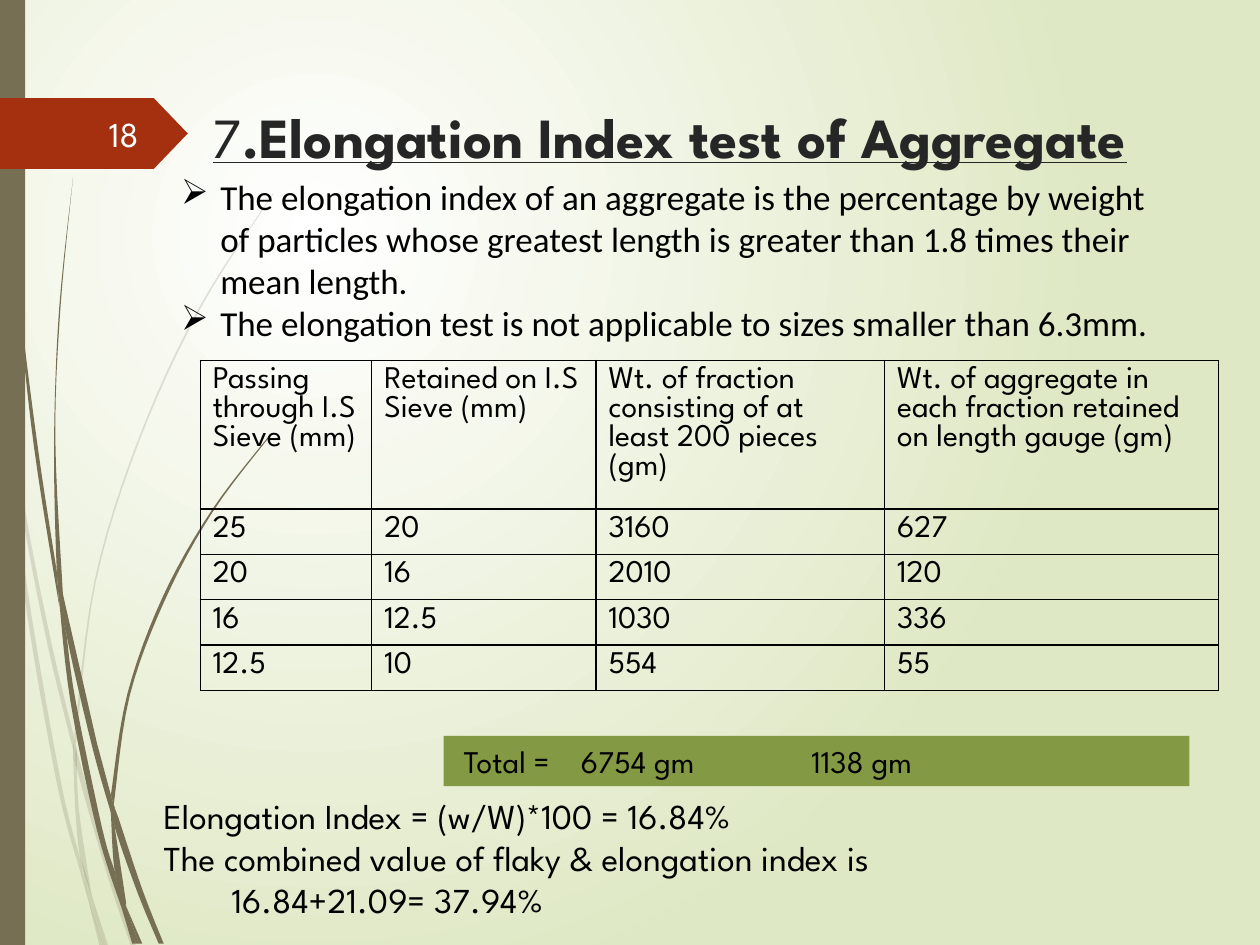
from dataclasses import dataclass

from lxml import etree
from pptx import Presentation
from pptx.dml.color import RGBColor
from pptx.enum import shapes as sh, text as tx
from pptx.oxml.ns import qn
from pptx.util import Inches, Pt

SPARTAN = "League Spartan"
OLIVE = "766F54"
Point = tuple[float, float]


@dataclass
class Wisp:
    """One blade of grass: one edge out, the other edge back."""
    out: list[Point]
    back: list[Point]


PALE = [
    Wisp([(0, 2.82), (.06, 3.22), (.08, 3.5)], [(.07, 3.44), (0, 2.99)]),
    Wisp([(.1, 3.45), (.25, 4.33), (.43, 5.2), (.59, 5.86)],
         [(.59, 5.99), (.4, 5.22), (.25, 4.49), (.12, 3.76)]),
    Wisp([(.61, 5.96), (.61, 6.1), (.85, 6.94), (1.04, 7.51)],
         [(1.08, 7.51), (.88, 6.92), (.64, 6.07)]),
    Wisp([(.73, 7.11), (.83, 7.51)], [(.86, 7.51)]),
    Wisp([(.08, 3.5), (.19, 4.7), (.45, 6.21), (.64, 6.93), (.7, 7.14)],
         [(.64, 6.83), (.48, 6.19), (.22, 4.69), (.12, 3.76)]),
    Wisp([(.58, 5.99), (.6, 6.46), (.64, 6.83), (.73, 7.11)],
         [(.72, 7.06), (.63, 6.46), (.61, 6.1)]),
    Wisp([(.61, 5.96), (.61, 5.84), (.76, 4.62), (1.11, 3.49), (1.59, 2.45), (2.17, 1.54)],
         [(2.17, 1.53), (1.58, 2.44), (1.1, 3.48), (.75, 4.61), (.59, 5.84)]),
    Wisp([(.7, 7.14), (.79, 7.51)], [(.82, 7.51)]),
    Wisp([(.59, 5.86), (.58, 5.99), (.61, 6.1)], [(.61, 5.96)]),
    Wisp([(.65, 6.83), (.7, 7.14), (.82, 7.51)], [(.83, 7.51), (.73, 7.11)]),
]
DARK = [
    Wisp([(.02, 0), (.05, 1.1), (.14, 2.33), (.27, 3.55), (.47, 4.81)],
         [(.45, 4.53), (.3, 3.55), (.15, 2.32), (.06, 1.09), (.03, 0)]),
    Wisp([(.5, 4.72), (.53, 5.05), (.73, 5.92), (.88, 6.45)], [(.88, 6.31), (.77, 5.9)]),
    Wisp([(.91, 6.41), (.91, 6.56), (1.09, 7.08), (1.26, 7.49)],
         [(1.3, 7.49), (1.13, 7.06), (.94, 6.49)]),
    Wisp([(.47, 4.77), (.56, 5.57), (.77, 6.59), (.97, 7.22)],
         [(.91, 6.91), (.81, 6.57), (.6, 5.56), (.53, 5.05)]),
    Wisp([(.5, 4.72), (.44, 3.49), (.48, 2.45), (.58, 1.41)],
         [(.58, 1.41), (.47, 2.45), (.43, 3.49), (.45, 4.49), (.49, 4.72)]),
    Wisp([(1, 7.19), (1.1, 7.49)], [(1.13, 7.49)]),
    Wisp([(.45, 4.49), (.47, 4.77), (.53, 5.05)], [(.5, 4.72)]),
    Wisp([(.91, 6.41), (.91, 6.33), (1.03, 5.52), (1.31, 4.76), (1.69, 4.06), (2.16, 3.44)],
         [(2.15, 3.44), (1.68, 4.05), (1.29, 4.74), (1.01, 5.51), (.88, 6.31)]),
    Wisp([(.97, 7.22), (1.05, 7.49)], [(1.08, 7.49)]),
    Wisp([(.88, 6.45), (.91, 6.91), (1, 7.19)], [(1, 7.16), (.91, 6.56)]),
    Wisp([(.88, 6.31), (.88, 6.45), (.91, 6.56)], [(.91, 6.41)]),
    Wisp([(.91, 6.91), (.97, 7.22), (1.08, 7.49)], [(1.1, 7.49), (1, 7.19)]),
]
WIDTHS = [1.36, 1.78, 2.29, 2.65]
ROWS = [
    ["Passing through I.S Sieve (mm)", "Retained on I.S Sieve (mm)",
     "Wt. of fraction consisting of at least 200 pieces (gm)",
     "Wt. of aggregate in each fraction retained on length gauge (gm)"],
    ["25", "20", "3160", "627"],
    ["20", "16", "2010", "120"],
    ["16", "12.5", "1030", "336"],
    ["12.5", "10", "554", "55"],
]


def hue(code: str) -> RGBColor:
    return RGBColor.from_string(code)


def sub(node, tag: str, **attrs):
    return etree.SubElement(node, qn(tag), **attrs)


def paint(shape, code: str) -> None:
    shape.shadow.inherit = False
    shape.fill.solid()
    shape.fill.fore_color.rgb = hue(code)
    shape.line.fill.background()


def style(para, size: float, face: str = SPARTAN, code: str = "000000") -> None:
    for run in para.runs:
        run.font.size, run.font.name = Pt(size), face
        run.font.color.rgb = hue(code)


def smooth(edge: list[Point], steps: int = 6) -> list[Point]:
    """Catmull-Rom curve through the points of an edge."""
    pts = [edge[0], *edge, edge[-1]]
    curve = [edge[0]]
    for a, b, c, d in zip(pts, pts[1:], pts[2:], pts[3:]):
        for i in range(1, steps + 1):
            t = i / steps
            curve.append(tuple(
                (2 * q + (r - p) * t + (2 * p - 5 * q + 4 * r - s) * t ** 2
                 + (3 * q - p - 3 * r + s) * t ** 3) / 2
                for p, q, r, s in zip(a, b, c, d)))
    return curve


def blade(slide, wisp: Wisp, alpha: int) -> None:
    pts = [(Inches(x), Inches(y)) for x, y in smooth(wisp.out) + smooth(wisp.back)]
    pen = slide.shapes.build_freeform(*pts[0], scale=1.0)
    pen.add_line_segments(pts[1:], close=True)
    shape = pen.convert_to_shape()
    paint(shape, OLIVE)
    if alpha < 100:
        color = shape._element.spPr.find(qn("a:solidFill"))[0]
        sub(color, "a:alpha", val=str(alpha * 1000))


def block(slide, kind, box: tuple, code: str):
    shape = slide.shapes.add_shape(kind, *map(Inches, box))
    paint(shape, code)
    return shape


def label(slide, box: tuple, words: str, size: float, face: str = SPARTAN,
          code: str = "000000"):
    frame = slide.shapes.add_textbox(*map(Inches, box)).text_frame
    frame.word_wrap = True
    frame.text = words
    for para in frame.paragraphs:
        style(para, size, face, code)
    return frame


def backdrop(slide) -> None:
    fill = slide.background.fill
    fill.gradient()
    for stop, code in zip(fill.gradient_stops, ("FFFFFF", "DFE8C4")):
        stop.color.rgb = hue(code)
    grad = slide._element.find(".//" + qn("a:gradFill"))
    grad.remove(grad.find(qn("a:lin")))
    glow = sub(grad, "a:path", **{"path": "circle"})
    sub(glow, "a:fillToRect", l="50000", t="50000", r="100000", b="100000")


def heading(slide) -> None:
    title = slide.shapes.title
    title.left, title.top, title.width, title.height = map(Inches, (1.59, .68, 8.22, .8))
    frame = title.text_frame
    frame.auto_size = tx.MSO_AUTO_SIZE.NONE
    frame.vertical_anchor = tx.MSO_ANCHOR.MIDDLE
    para = frame.paragraphs[0]
    para.alignment = tx.PP_ALIGN.LEFT
    for words, bold in (("7", False), (".Elongation Index test of Aggregate", True)):
        run = para.add_run()
        run.text = words
        run.font.bold, run.font.underline = bold, True
    style(para, 32.4, code="262626")


def border(cell) -> None:
    props = cell._tc.get_or_add_tcPr()
    for i, side in enumerate(("a:lnL", "a:lnR", "a:lnT", "a:lnB")):
        line = etree.Element(qn(side), w=str(Pt(1)))
        sub(sub(line, "a:solidFill"), "a:srgbClr", val="000000")
        props.insert(i, line)


def sieves(slide) -> None:
    table = slide.shapes.add_table(len(ROWS), len(WIDTHS), *map(Inches, (1.59, 2.86, 8.08, 2.62))).table
    table.first_row = table.horz_banding = False
    for col, width in zip(table.columns, WIDTHS):
        col.width = Inches(width)
    for r, row in enumerate(ROWS):
        table.rows[r].height = Inches(.36 if r else 1.18)
        for c, words in enumerate(row):
            cell = table.cell(r, c)
            cell.text = words
            cell.fill.background()
            style(cell.text_frame.paragraphs[0], 18)
            border(cell)


def total(slide) -> None:
    frame = block(slide, sh.MSO_SHAPE.RECTANGLE, (3.52, 5.84, 5.92, .4), "839943").text_frame
    frame.margin_left = Inches(.16)
    frame.text = "Total =\t6754 gm\t1138 gm"
    para = frame.paragraphs[0]
    para.alignment = tx.PP_ALIGN.LEFT
    tabs = sub(para._p.get_or_add_pPr(), "a:tabLst")
    for stop in (.93, 2.76):
        sub(tabs, "a:tab", pos=str(Inches(stop)), algn="l")
    style(para, 18)


def main() -> None:
    deck = Presentation()
    deck.slide_width, deck.slide_height = Inches(10), Inches(7.5)
    slide = deck.slides.add_slide(deck.slide_layouts[5])
    backdrop(slide)
    for wisps, alpha in ((PALE, 20), (DARK, 100)):
        for wisp in wisps:
            blade(slide, wisp, alpha)
    block(slide, sh.MSO_SHAPE.RECTANGLE, (0, 0, .2, 7.5), OLIVE)
    badge = block(slide, sh.MSO_SHAPE.PENTAGON, (0, .78, 1.49, .56), "A53010")
    badge.adjustments[0] = .48
    heading(slide)
    sieves(slide)
    number = label(slide, (.56, .86, .64, .4), "18", 20, code="FEFFFF")
    number.vertical_anchor = tx.MSO_ANCHOR.MIDDLE
    number.paragraphs[0].alignment = tx.PP_ALIGN.RIGHT
    total(slide)
    result = label(slide, (1.2, 6.26, 7.74, 1.11),
                   "Elongation Index = (w/W)*100 = 16.84%\n"
                   "The combined value of flaky & elongation index is\n"
                   "16.84+21.09= 37.94%", 20)
    result.paragraphs[2]._p.get_or_add_pPr().set("marL", str(Inches(.54)))
    facts = label(slide, (1.34, 1.34, 8.1, 1.45),
                  "The elongation index of an aggregate is the percentage by weight of particles "
                  "whose greatest length is greater than 1.8 times their mean length.\n"
                  "The elongation test is not applicable to sizes smaller than 6.3mm.", 20, "Calibri")
    for para in facts.paragraphs:
        props = para._p.get_or_add_pPr()
        props.set("marL", str(Inches(.31)))
        props.set("indent", str(-Inches(.31)))
        sub(props, "a:buFont", typeface="Wingdings")
        sub(props, "a:buChar", char="Ø")
    deck.save("out.pptx")


if __name__ == "__main__":
    main()
